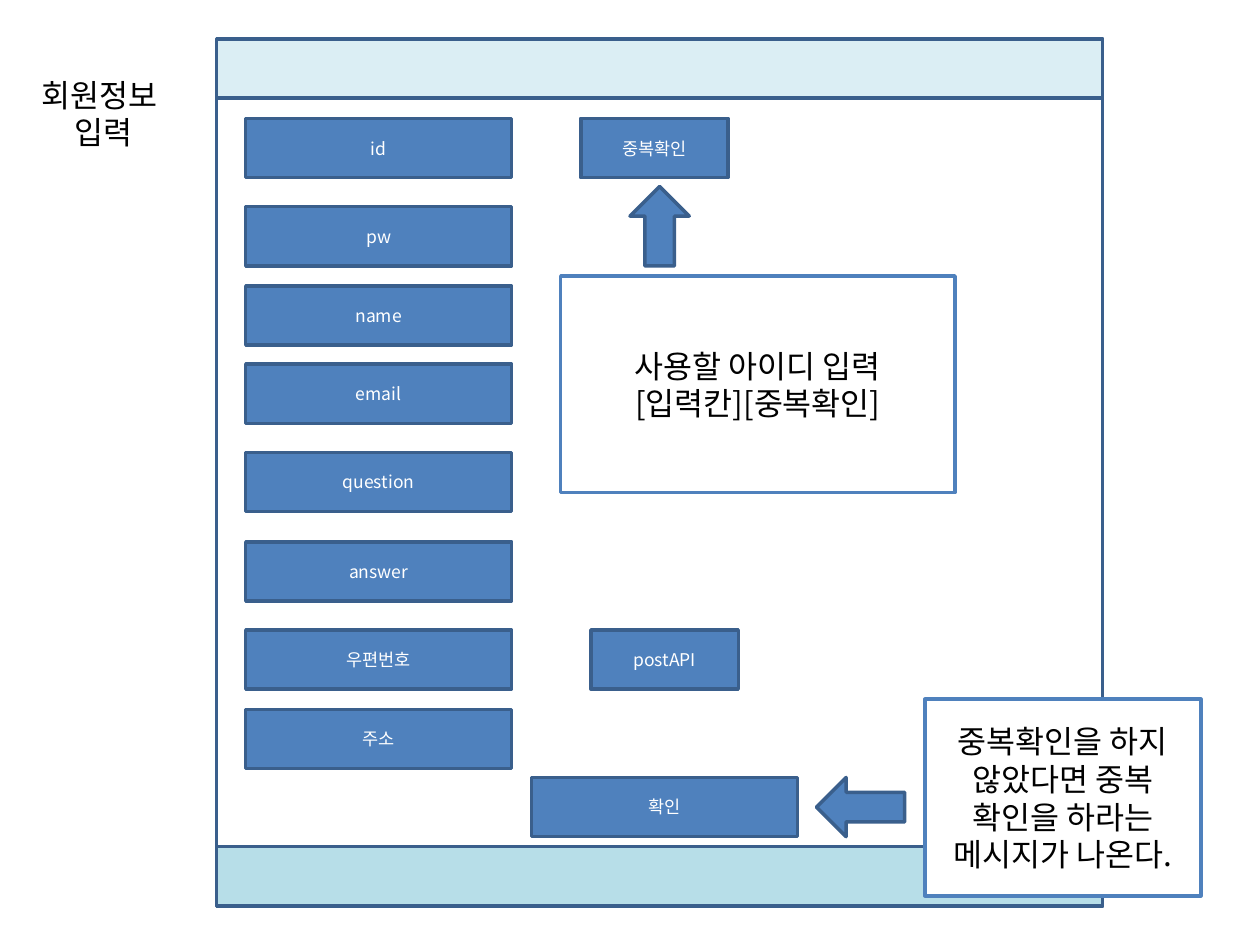
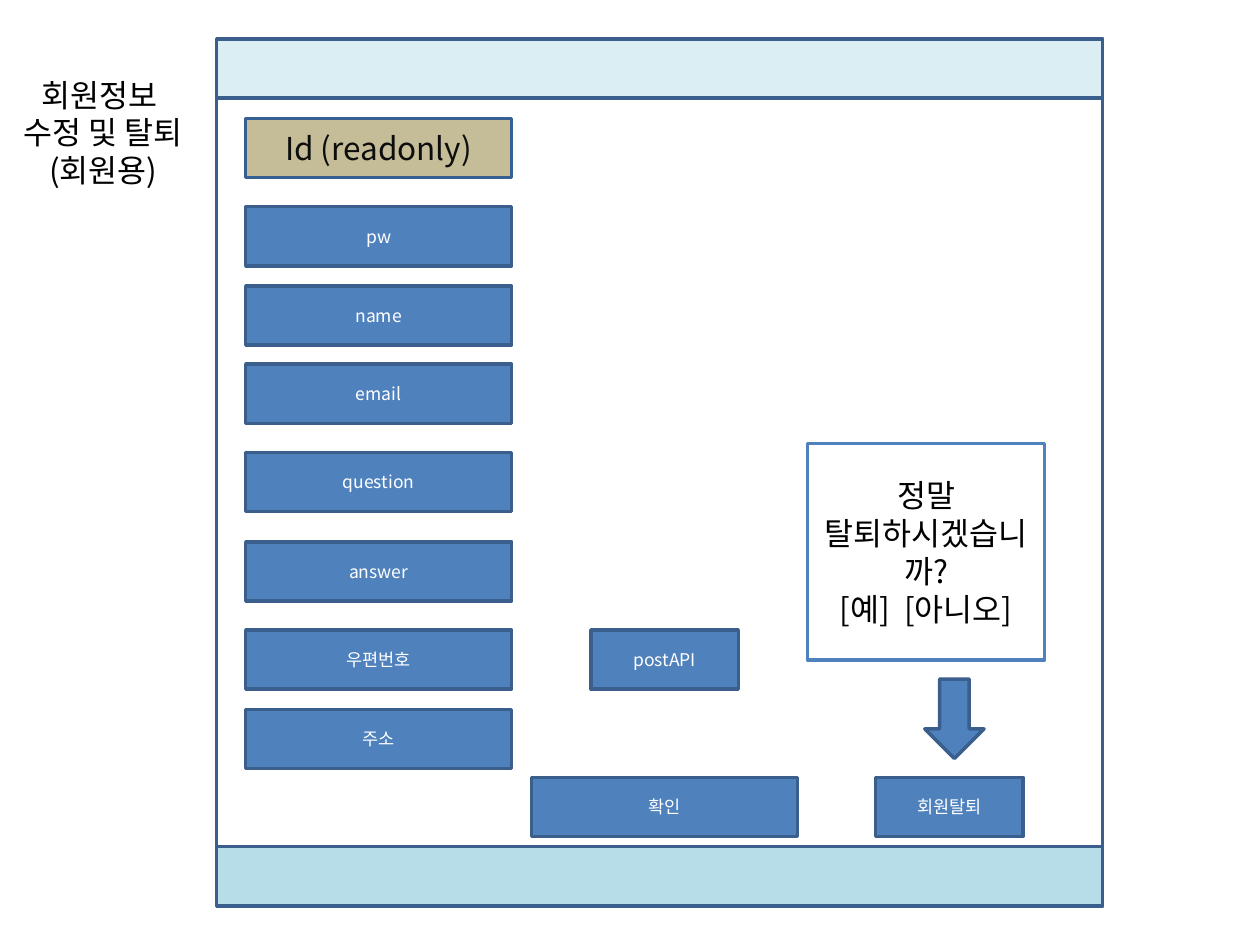
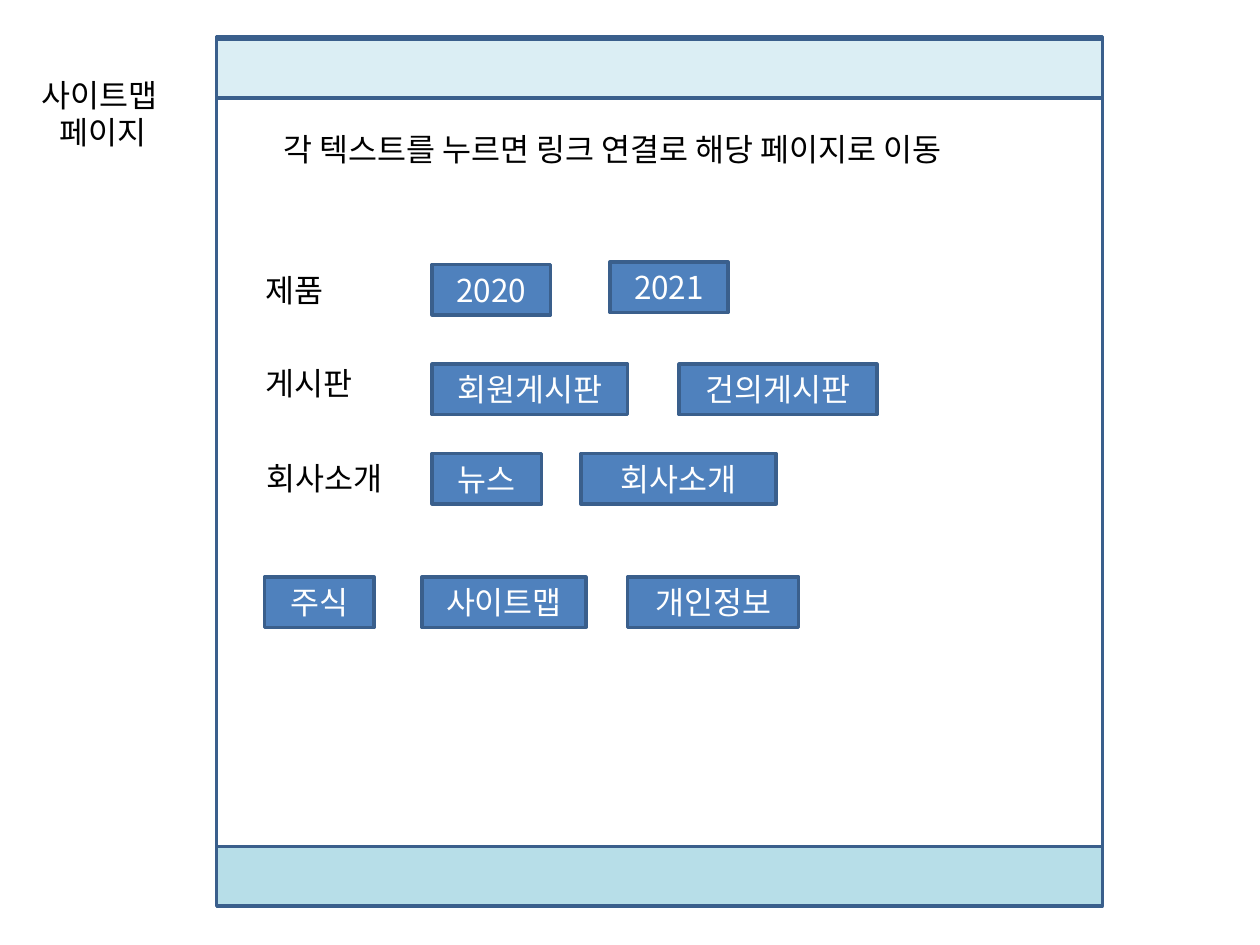
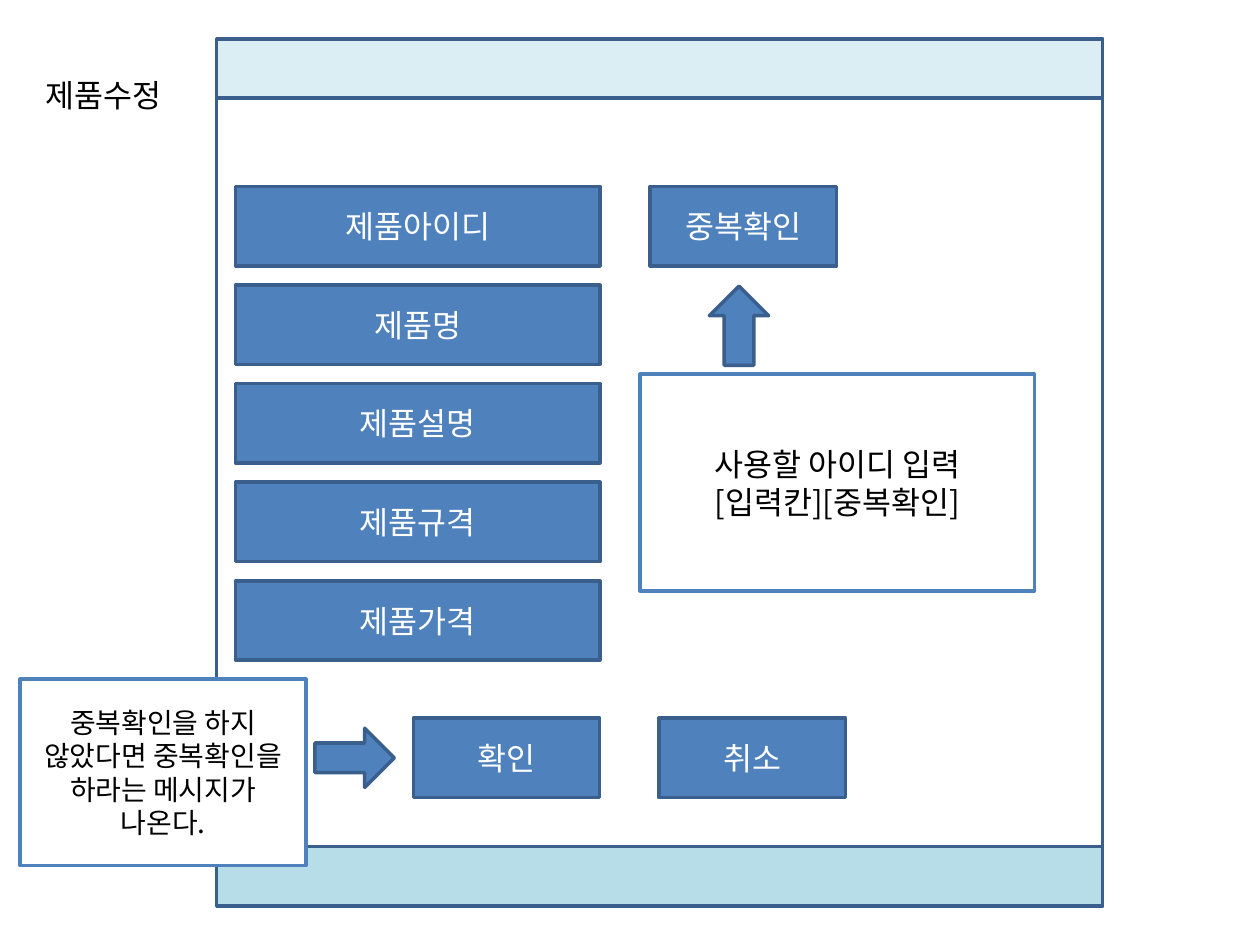
from dataclasses import dataclass

from lxml import etree
from pptx import Presentation
from pptx import util as u
from pptx.dml.color import RGBColor
from pptx.enum import shapes, text
from pptx.oxml.ns import qn


@dataclass(frozen=True)
class Theme:
    font: str = "Noto Sans CJK KR"
    white: str = "FFFFFF"
    black: str = "000000"
    blue: str = "4F81BD"
    outline: str = "3A5F8C"
    header: str = "DBEEF4"
    footer: str = "B7DEE8"
    locked: str = "C4BD97"
    locked_outline: str = "376092"
    locked_text: str = "0D0D0D"
    small: int = 10
    note: int = 16
    body: int = 18
    line: int = 2


theme = Theme()
RECTANGLE = shapes.MSO_SHAPE.RECTANGLE
DOWN = shapes.MSO_SHAPE.DOWN_ARROW
RIGHT = shapes.MSO_SHAPE.RIGHT_ARROW

FRAME_LEFT, FRAME_TOP, FRAME_WIDTH, FRAME_HEIGHT = 1.72, 0.31, 7.03, 6.88
BAND_HEIGHT = 0.47
FIELD_LEFT, FIELD_WIDTH, FIELD_HEIGHT = 1.95, 2.11, 0.47
SMALL_BUTTON_WIDTH = 1.17
CONFIRM_LEFT, CONFIRM_TOP = 4.22, 6.17
POSTCODE_TOP = 5.0
LINK_HEIGHT = 0.4
PRODUCT_LEFT, PRODUCT_TOP, PRODUCT_PITCH = 1.87, 1.48, 0.7825
PRODUCT_WIDTH, PRODUCT_BUTTON_WIDTH, PRODUCT_HEIGHT = 2.89, 1.48, 0.63
ACTION_TOP = 5.7

ID_FIELD_TOP = 0.94
member_fields = [
    ("pw", 1.64), ("name", 2.27), ("email", 2.89), ("question", 3.59),
    ("answer", 4.3), ("우편번호", POSTCODE_TOP), ("주소", 5.63),
]
id_check_message = "사용할 아이디 입력\n[입력칸][중복확인]"
sitemap_intro = "각 텍스트를 누르면 링크 연결로 해당 페이지로 이동"
sitemap_labels = [("제품", 2.01, 2.1, 0.71), ("게시판", 2.01, 2.84, 0.96), ("회사소개", 2.02, 3.59, 1.21)]
sitemap_links = [
    ("2020", 3.43, 2.1, 0.94), ("2021", 4.84, 2.08, 0.94),
    ("회원게시판", 3.43, 2.89, 1.55), ("건의게시판", 5.39, 2.89, 1.57),
    ("뉴스", 3.43, 3.6, 0.87), ("회사소개", 4.61, 3.6, 1.55),
    ("주식", 2.1, 4.58, 0.87), ("사이트맵", 3.35, 4.58, 1.3), ("개인정보", 4.98, 4.58, 1.36),
]
product_fields = ["제품아이디", "제품명", "제품설명", "제품규격", "제품가격"]
product_buttons = [("중복확인", 5.16, PRODUCT_TOP), ("확인", 3.28, ACTION_TOP), ("취소", 5.23, ACTION_TOP)]


def write(shape, words, size, color, align=text.PP_ALIGN.CENTER, anchor=text.MSO_ANCHOR.MIDDLE, wrap=True):
    frame = shape.text_frame
    frame.text = words
    frame.word_wrap = wrap
    frame.vertical_anchor = anchor
    for paragraph in frame.paragraphs:
        paragraph.alignment = align
        for run in paragraph.runs:
            run.font.size = u.Pt(size)
            run.font.color.rgb = RGBColor.from_string(color)
            run.font.name = theme.font
            etree.SubElement(run._r.get_or_add_rPr(), qn("a:ea")).set("typeface", theme.font)


def add_block(slide, box, fill, outline=theme.outline, kind=RECTANGLE, rotation=0):
    shape = slide.shapes.add_shape(kind, *map(u.Inches, box))
    shape.shadow.inherit = False
    shape.rotation = rotation
    shape.fill.solid()
    shape.fill.fore_color.rgb = RGBColor.from_string(fill)
    shape.line.color.rgb = RGBColor.from_string(outline)
    shape.line.width = u.Pt(theme.line)
    return shape


def add_button(slide, words, box, size=theme.small):
    write(add_block(slide, box, theme.blue), words, size, theme.white)


def add_message(slide, words, box, size=theme.body):
    write(add_block(slide, box, theme.white, theme.blue), words, size, theme.black)


def add_arrow(slide, kind, box, rotation=0):
    add_block(slide, box, theme.blue, kind=kind, rotation=rotation)


def add_label(slide, words, left, top, width):
    label = slide.shapes.add_textbox(*map(u.Inches, (left, top, width, LINK_HEIGHT)))
    write(label, words, theme.body, theme.black, text.PP_ALIGN.LEFT, text.MSO_ANCHOR.TOP, wrap=False)


def add_page(title, title_height, frame_top=FRAME_TOP):
    slide = presentation.slides.add_slide(presentation.slide_layouts[5])
    heading = slide.shapes.title
    heading.left, heading.top, heading.width, heading.height = map(u.Inches, (0, 0.55, 1.64, title_height))
    write(heading, title, theme.body, theme.black, anchor=text.MSO_ANCHOR.TOP)
    heading.text_frame.auto_size = text.MSO_AUTO_SIZE.SHAPE_TO_FIT_TEXT
    footer_top = FRAME_TOP + FRAME_HEIGHT - BAND_HEIGHT
    for top, height, fill in [
        (frame_top, FRAME_HEIGHT, theme.white),
        (FRAME_TOP, BAND_HEIGHT, theme.header),
        (footer_top, BAND_HEIGHT, theme.footer),
    ]:
        add_block(slide, (FRAME_LEFT, top, FRAME_WIDTH, height), fill)
    return slide


def add_member_form(slide):
    for words, top in member_fields:
        add_button(slide, words, (FIELD_LEFT, top, FIELD_WIDTH, FIELD_HEIGHT))
    add_button(slide, "확인", (CONFIRM_LEFT, CONFIRM_TOP, FIELD_WIDTH, FIELD_HEIGHT))
    add_button(slide, "postAPI", (4.69, POSTCODE_TOP, SMALL_BUTTON_WIDTH, FIELD_HEIGHT))


presentation = Presentation()
presentation.slide_width, presentation.slide_height = u.Inches(10), u.Inches(7.5)
id_box = (FIELD_LEFT, ID_FIELD_TOP, FIELD_WIDTH, FIELD_HEIGHT)

join_slide = add_page("회원정보 \n입력", 0.71)
add_button(join_slide, "id", id_box)
add_member_form(join_slide)
add_button(join_slide, "중복확인", (4.61, ID_FIELD_TOP, SMALL_BUTTON_WIDTH, FIELD_HEIGHT))
add_message(join_slide, id_check_message, (4.45, 2.19, 3.13, 1.72))
add_arrow(join_slide, DOWN, (5, 1.48, 0.47, 0.63), 180)
add_message(join_slide, "중복확인을 하지 않았다면 중복 확인을 하라는 메시지가 나온다.", (7.34, 5.55, 2.19, 1.56))
add_arrow(join_slide, RIGHT, (6.48, CONFIRM_TOP, 0.7, 0.47), 180)

edit_slide = add_page("회원정보 \n수정 및 탈퇴\n(회원용)", 1.01)
locked_id = add_block(edit_slide, id_box, theme.locked, theme.locked_outline)
write(locked_id, "Id (readonly)", theme.body, theme.locked_text)
add_member_form(edit_slide)
add_button(edit_slide, "회원탈퇴", (6.95, CONFIRM_TOP, SMALL_BUTTON_WIDTH, FIELD_HEIGHT))
add_message(edit_slide, "정말 탈퇴하시겠습니까?\n[예]  [아니오]", (6.41, 3.52, 1.88, 1.72))
add_arrow(edit_slide, DOWN, (7.34, 5.39, 0.47, 0.63))

sitemap_slide = add_page("사이트맵 \n페이지", 0.71, frame_top=0.29)
add_label(sitemap_slide, sitemap_intro, 2.15, 0.98, 6.13)
for label in sitemap_labels:
    add_label(sitemap_slide, *label)
for words, left, top, width in sitemap_links:
    add_button(sitemap_slide, words, (left, top, width, LINK_HEIGHT), theme.body)

product_slide = add_page("제품수정", 0.4)
for row, words in enumerate(product_fields):
    top = PRODUCT_TOP + row * PRODUCT_PITCH
    add_button(product_slide, words, (PRODUCT_LEFT, top, PRODUCT_WIDTH, PRODUCT_HEIGHT), theme.body)
for words, left, top in product_buttons:
    add_button(product_slide, words, (left, top, PRODUCT_BUTTON_WIDTH, PRODUCT_HEIGHT), theme.body)
add_message(product_slide, "중복확인을 하지 않았다면 중복확인을 하라는 메시지가 나온다.", (0.16, 5.39, 2.27, 1.48), theme.note)
add_arrow(product_slide, RIGHT, (2.5, 5.78, 0.63, 0.47))
add_message(product_slide, id_check_message, (5.08, 2.97, 3.13, 1.72))
add_arrow(product_slide, DOWN, (5.63, 2.27, 0.47, 0.63), 180)

presentation.save("out.pptx")
